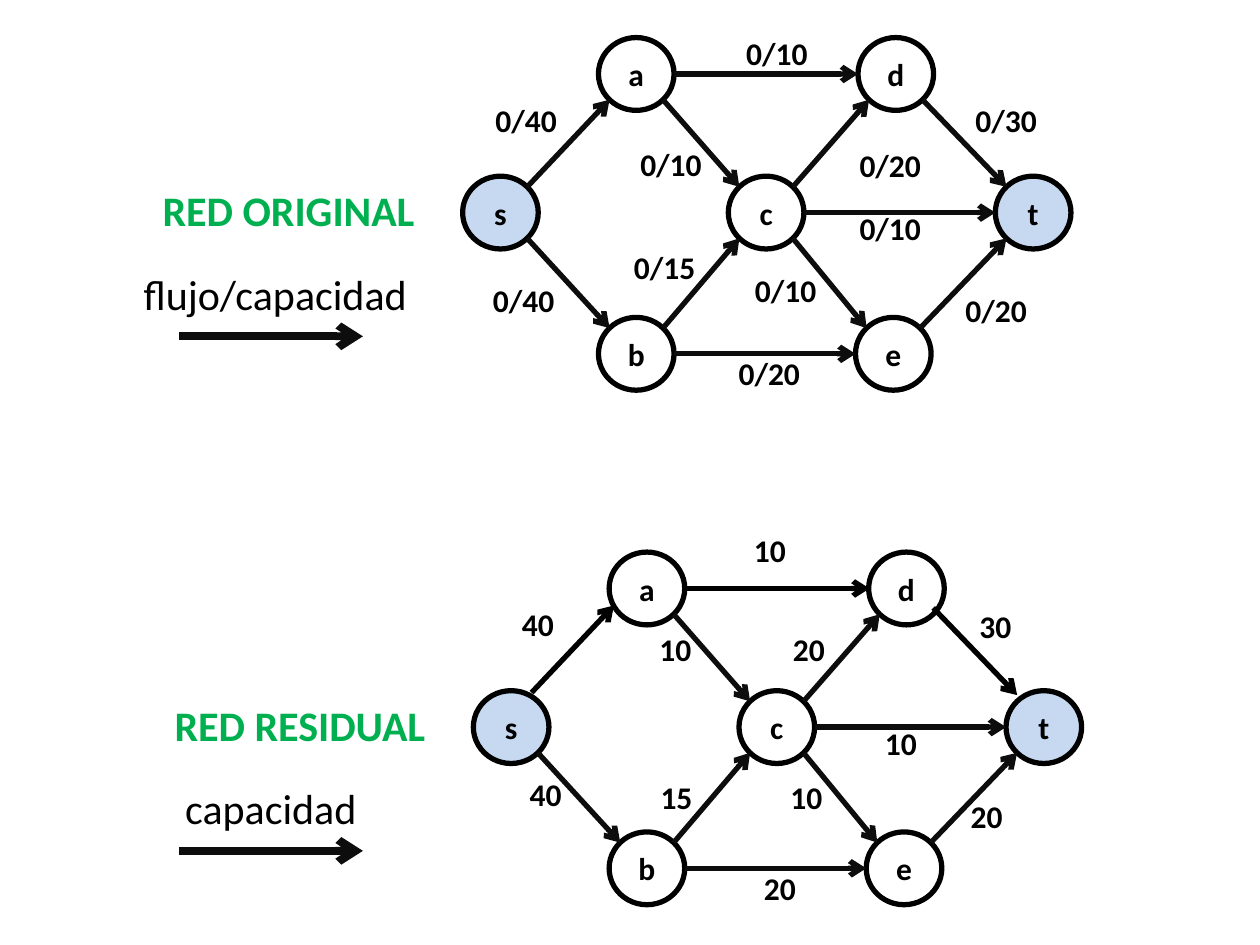
import dataclasses
import typing

import lxml.etree
import pptx
import pptx.dml.color
import pptx.enum.shapes
import pptx.enum.text
import pptx.oxml.ns
import pptx.util

Pt = pptx.util.Pt
COLORS = {"text": "000000", "outline": "000000", "edge": "0D0D0D",
          "terminal": "C6D9F1", "heading": "00B050"}
FONT = "Calibri"
NODE_W, NODE_H = 43.2, 41.6
DIAGONAL = 0.707  # cosine of 45 degrees
NODES = {"s": (286, 121.5), "a": (363.6, 42.3), "b": (363.6, 202.2),
         "c": (437.8, 121.5), "d": (511.9, 42.3), "e": (510.5, 202.2),
         "t": (590.4, 121.5)}
TERMINALS = "st"


@dataclasses.dataclass
class Edge:
    """Arrow between two nodes, with its label centre and an optional shift."""
    ends: str
    label: str
    x: float
    y: float
    shift: tuple[float, float] = (0, 0)
    ink: str = "edge"


@dataclasses.dataclass
class Network:
    """One flow network with its heading and arrow legend."""
    heading: str
    heading_at: tuple[float, float]
    legend: str
    legend_at: tuple[float, float]
    offset: tuple[float, float]
    label_width: float
    edges: list[Edge]


NETWORKS = [
    Network("RED ORIGINAL", (164.9, 120.2), "flujo/capacidad", (157.3, 167.8),
            (0, 0), 49.7, [
                Edge("sa", "0/40", 300.6, 68.4),
                Edge("sb", "0/40", 299.2, 171.4),
                Edge("ad", "0/10", 443.9, 30.2),
                Edge("ac", "0/10", 383.4, 93.6),
                Edge("bc", "0/15", 379.8, 152.6),
                Edge("be", "0/20", 439.6, 213.1),
                Edge("cd", "0/20", 508.7, 94.3),
                Edge("ct", "0/10", 508.7, 130.3),
                Edge("ce", "0/10", 448.9, 165.6),
                Edge("dt", "0/30", 574.9, 68.4),
                Edge("et", "0/20", 569.2, 177.1)]),
    Network("RED RESIDUAL", (171.4, 414), "capacidad", (154.8, 461.5),
            (6.1, 294), 33.1, [
                Edge("sa", "40", 307.4, 356.4, (-3.6, -5), "outline"),
                Edge("sb", "40", 311.8, 453.6),
                Edge("ad", "10", 439.9, 314.6, (0.5, 0), "outline"),
                Edge("ac", "10", 385.9, 370.8),
                Edge("bc", "15", 386.6, 455.8),
                Edge("be", "20", 445.7, 507.6),
                Edge("cd", "20", 462.2, 370.8),
                Edge("ct", "10", 514.8, 424.8),
                Edge("ce", "10", 460.8, 455.8),
                Edge("dt", "30", 568.8, 357.8, (0, -3.6), "outline"),
                Edge("et", "20", 563.8, 466.6)]),
]


def rgb(name: str) -> pptx.dml.color.RGBColor:
    """Look up a named colour."""
    return pptx.dml.color.RGBColor.from_string(COLORS[name])


def write(frame: typing.Any, text: str, *, size: float = 18, bold: bool = True,
          color: str = "text", wrap: bool = False) -> None:
    """Put one centred, formatted line of text into a text frame."""
    frame.word_wrap = wrap
    paragraph = frame.paragraphs[0]
    paragraph.alignment = pptx.enum.text.PP_ALIGN.CENTER
    run = paragraph.add_run()
    run.text = text
    run.font.name = FONT
    run.font.size = Pt(size)
    run.font.bold = bold
    run.font.color.rgb = rgb(color)


def add_label(shapes: typing.Any, text: str, center: tuple[float, float],
              width: float, height: float = 29, **style: typing.Any) -> None:
    """Add a text box around a centre point."""
    box = shapes.add_textbox(Pt(center[0] - width / 2), Pt(center[1] - height / 2),
                             Pt(width), Pt(height))
    write(box.text_frame, text, **style)


def add_arrow(shapes: typing.Any, start: tuple[float, float],
              end: tuple[float, float], weight: float = 3,
              ink: str = "edge") -> None:
    """Add a straight line with an open arrowhead at its end."""
    arrow = shapes.add_connector(pptx.enum.shapes.MSO_CONNECTOR.STRAIGHT,
                                 *(Pt(value) for value in (*start, *end)))
    arrow.line.width = Pt(weight)
    arrow.line.color.rgb = rgb(ink)
    qn = pptx.oxml.ns.qn
    properties = arrow._element.spPr
    head = lxml.etree.SubElement(properties.find(qn("a:ln")), qn("a:tailEnd"))
    head.set("type", "arrow")
    lxml.etree.SubElement(properties, qn("a:effectLst"))


def add_node(shapes: typing.Any, name: str, center: tuple[float, float]) -> None:
    """Add a named ellipse, tinted when it is the source or the sink."""
    node = shapes.add_shape(pptx.enum.shapes.MSO_SHAPE.OVAL,
                            Pt(center[0] - NODE_W / 2), Pt(center[1] - NODE_H / 2),
                            Pt(NODE_W), Pt(NODE_H))
    node.shadow.inherit = False
    if name in TERMINALS:
        node.fill.solid()
        node.fill.fore_color.rgb = rgb("terminal")
    else:
        node.fill.background()
    node.line.color.rgb = rgb("outline")
    node.line.width = Pt(3)
    node.text_frame.vertical_anchor = pptx.enum.text.MSO_ANCHOR.MIDDLE
    write(node.text_frame, name)


def edge_points(edge: Edge, centers: dict[str, tuple[float, float]]
                ) -> tuple[tuple[float, float], tuple[float, float]]:
    """Find where an edge meets the rims of its two nodes."""
    (x1, y1), (x2, y2) = (centers[name] for name in edge.ends)
    if y1 == y2:
        reach_x, reach_y = NODE_W / 2, 0
    else:
        reach_x = DIAGONAL * NODE_W / 2
        reach_y = DIAGONAL * NODE_H / 2 * (1 if y2 > y1 else -1)
    dx, dy = edge.shift
    return ((x1 + reach_x + dx, y1 + reach_y + dy),
            (x2 - reach_x + dx, y2 - reach_y + dy))


def draw_network(shapes: typing.Any, network: Network) -> None:
    """Draw a whole network with its heading and legend."""
    dx, dy = network.offset
    centers = {name: (x + dx, y + dy) for name, (x, y) in NODES.items()}
    graph = shapes.add_group_shape().shapes
    for name, center in centers.items():
        add_node(graph, name, center)
    for edge in network.edges:
        add_arrow(graph, *edge_points(edge, centers), ink=edge.ink)
        add_label(graph, edge.label, (edge.x, edge.y), network.label_width)
    add_label(shapes, network.heading, network.heading_at, 174.2, 36,
              size=24, color="heading", wrap=True)
    add_label(shapes, network.legend, network.legend_at,
              166 if "/" in network.legend else 114, 36, size=24, bold=False)
    add_arrow(shapes, (102.2, 192.2 + dy), (207.4, 192.2 + dy), weight=4.5)


deck = pptx.Presentation()
deck.slide_width, deck.slide_height = Pt(720), Pt(540)
flow_slide = deck.slides.add_slide(deck.slide_layouts[6])
for flow_network in NETWORKS:
    draw_network(flow_slide.shapes, flow_network)
deck.save("out.pptx")
